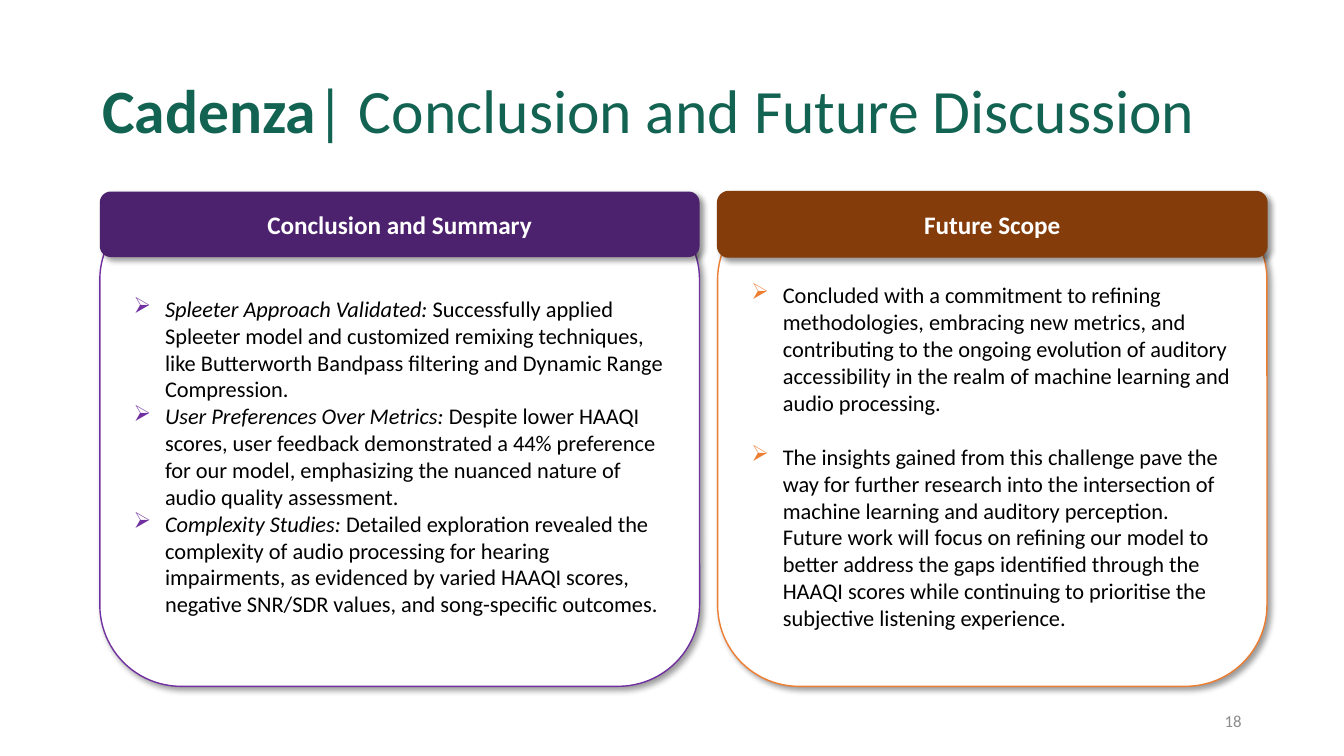
from dataclasses import dataclass

from lxml import etree
from pptx import Presentation
from pptx.dml.color import RGBColor
from pptx.enum.shapes import MSO_SHAPE
from pptx.enum.text import MSO_ANCHOR, PP_ALIGN
from pptx.oxml.ns import qn
from pptx.util import Pt

ROUNDED = MSO_SHAPE.ROUNDED_RECTANGLE
MIDDLE = MSO_ANCHOR.MIDDLE
LEFT, CENTER, RIGHT = PP_ALIGN.LEFT, PP_ALIGN.CENTER, PP_ALIGN.RIGHT


@dataclass(frozen=True)
class Theme:
    """Colours and type sizes of the deck."""
    font: str = "Calibri"
    title: str = "136352"
    number: str = "8C8C8C"
    body: str = "000000"
    white: str = "FFFFFF"
    purple: str = "7030A0"
    dark_purple: str = "4C216D"
    orange: str = "ED7D31"
    brown: str = "843C0B"
    title_size: int = 44
    heading_size: int = 18
    body_size: int = 16
    number_size: int = 12


THEME = Theme()
LINE_HEIGHT = 19.5
BULLET_INDENT = 22.5

CONCLUSIONS = [
    ("Spleeter Approach Validated: ",
     "Successfully applied Spleeter model and customized remixing techniques, "
     "like Butterworth Bandpass filtering and Dynamic Range Compression."),
    ("User Preferences Over Metrics: ",
     "Despite lower HAAQI scores, user feedback demonstrated a 44% preference "
     "for our model, emphasizing the nuanced nature of audio quality assessment."),
    ("Complexity Studies: ",
     "Detailed exploration revealed the complexity of audio processing for hearing "
     "impairments, as evidenced by varied HAAQI scores, negative SNR/SDR values, "
     "and song-specific outcomes."),
]
FUTURE = [
    ("", "Concluded with a commitment to refining methodologies, embracing new "
         "metrics, and contributing to the ongoing evolution of auditory "
         "accessibility in the realm of machine learning and audio processing."),
    ("", "The insights gained from this challenge pave the way for further research "
         "into the intersection of machine learning and auditory perception. Future "
         "work will focus on refining our model to better address the gaps identified "
         "through the HAAQI scores while continuing to prioritise the subjective "
         "listening experience."),
]


def add_span(para, text, size, color, **formats):
    """Append a run of text in the theme font."""
    span = para.add_run()
    span.text = text
    span.font.color.rgb = RGBColor.from_string(color)
    values = {"name": THEME.font, "size": Pt(size), **formats}
    for name, value in values.items():
        setattr(span.font, name, value)


def prepare_frame(shape, align):
    """Set wrapping and anchoring and return the first paragraph."""
    frame = shape.text_frame
    frame.word_wrap = True
    frame.vertical_anchor = MIDDLE
    para = frame.paragraphs[0]
    para.alignment = align
    return para


def add_shadow(shape):
    """Give a shape a soft shadow to the lower right."""
    shape.shadow.inherit = False
    effects = shape.element.spPr.find(qn("a:effectLst"))
    shadow = etree.SubElement(effects, qn("a:outerShdw"), blurRad=str(Pt(4)),
                              dist=str(Pt(3)), dir="2700000", algn="tl",
                              rotWithShape="0")
    color = etree.SubElement(shadow, qn("a:srgbClr"), val="000000")
    etree.SubElement(color, qn("a:alpha"), val="40000")


def add_bullet(para, color):
    """Give a paragraph a hanging arrowhead bullet."""
    properties = para._p.get_or_add_pPr()
    properties.set("marL", str(Pt(BULLET_INDENT)))
    properties.set("indent", str(-Pt(BULLET_INDENT)))
    bullet_color = etree.SubElement(properties, qn("a:buClr"))
    etree.SubElement(bullet_color, qn("a:srgbClr"), val=color)
    etree.SubElement(properties, qn("a:buChar"), char="➢")


def add_rounded(page, box, fill, line):
    """Draw a shadowed rounded rectangle with an optional outline."""
    shape = page.shapes.add_shape(ROUNDED, *map(Pt, box))
    shape.fill.solid()
    shape.fill.fore_color.rgb = RGBColor.from_string(fill)
    if line:
        shape.line.color.rgb = RGBColor.from_string(line)
        shape.line.width = Pt(1)
    else:
        shape.line.fill.background()
    add_shadow(shape)
    return shape


def add_panel(page, box, heading, points, gap, accent, header_fill, header_line):
    """Draw a bulleted card with a heading bar across its top."""
    left, top, width, height = box
    card = add_rounded(page, (left, top + 5, width, height - 5), THEME.white, accent)
    para = prepare_frame(card, LEFT)
    card.text_frame.margin_top = Pt(3.6 + LINE_HEIGHT)
    for index, (lead, text) in enumerate(points):
        if index:
            para = card.text_frame.add_paragraph()
            para.alignment = LEFT
            para.space_before = Pt(gap)
        add_bullet(para, accent)
        if lead:
            add_span(para, lead, THEME.body_size, THEME.body, italic=True)
        add_span(para, text, THEME.body_size, THEME.body)

    header = add_rounded(page, (left, top, width, 46.8), header_fill, header_line)
    para = prepare_frame(header, CENTER)
    add_span(para, heading, THEME.heading_size, THEME.white, bold=True)


def add_title(page, box):
    """Write the slide title."""
    para = prepare_frame(page.shapes.add_textbox(*map(Pt, box)), LEFT)
    para.line_spacing = 0.9
    add_span(para, "Cadenza", THEME.title_size, THEME.title, bold=True)
    add_span(para, "| Conclusion and Future Discussion", THEME.title_size, THEME.title)


def add_page_number(page, box):
    """Write the page number."""
    para = prepare_frame(page.shapes.add_textbox(*map(Pt, box)), RIGHT)
    add_span(para, "18", THEME.number_size, THEME.number)


def main():
    """Build and save the deck."""
    deck = Presentation()
    deck.slide_width, deck.slide_height = Pt(960), Pt(540)
    page = deck.slides.add_slide(deck.slide_layouts[6])
    add_title(page, (66, 28.75, 828, 104.4))
    add_page_number(page, (678, 500.5, 216, 28.75))
    add_panel(page, (71.3, 136.8, 428.4, 353.5), "Conclusion and Summary",
              CONCLUSIONS, 0, THEME.purple, THEME.dark_purple, None)
    add_panel(page, (512.6, 136.8, 392.4, 353.5), "Future Scope",
              FUTURE, LINE_HEIGHT, THEME.orange, THEME.brown, THEME.brown)
    deck.save("out.pptx")


if __name__ == "__main__":
    main()
